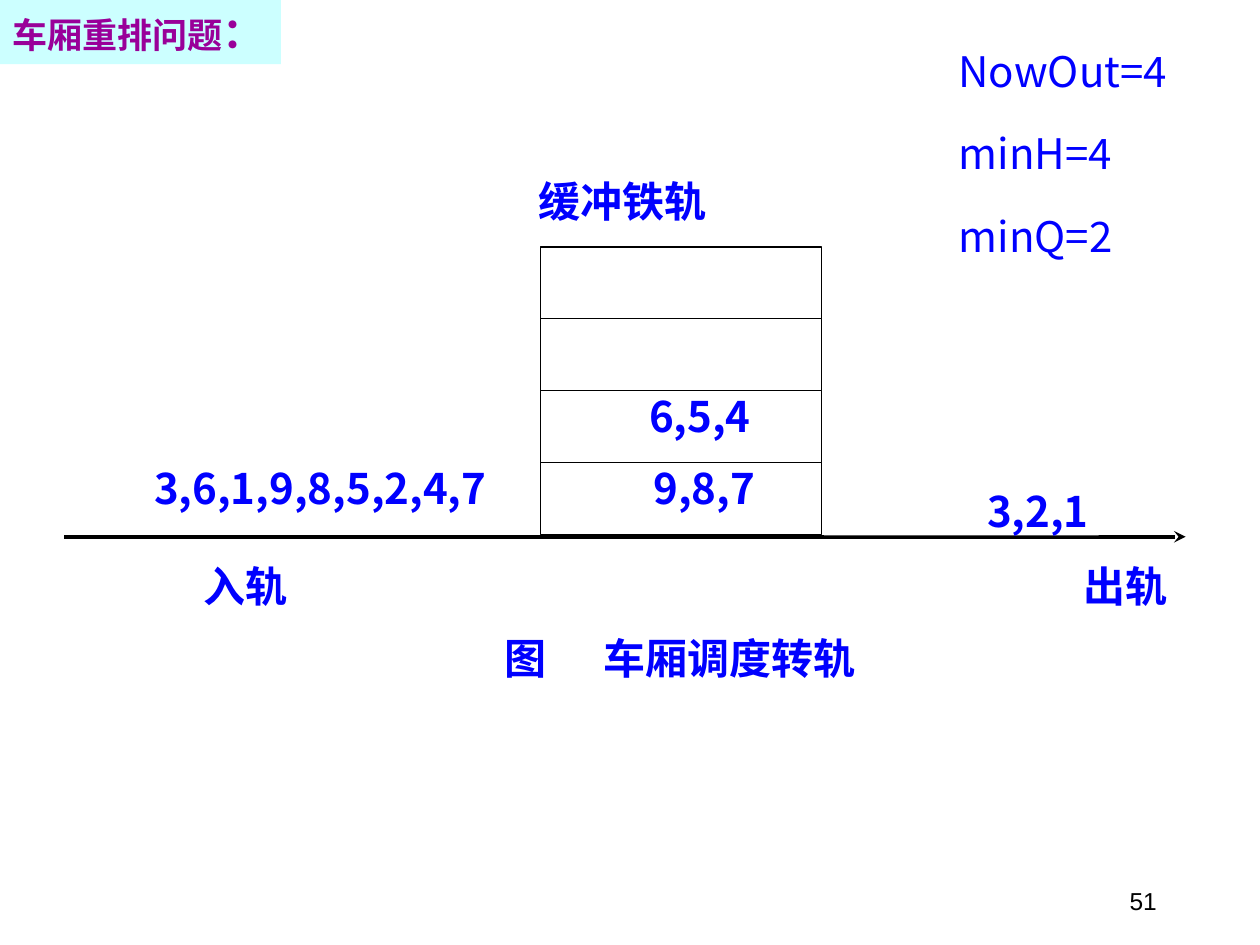
from lxml.etree import SubElement
from pptx import Presentation
from pptx.dml.color import RGBColor
from pptx.enum.shapes import MSO_CONNECTOR as CONNECTOR, MSO_SHAPE as SHAPE
from pptx.enum.text import MSO_ANCHOR as ANCHOR, MSO_AUTO_SIZE as AUTO_SIZE, PP_ALIGN as ALIGN
from pptx.oxml.ns import qn
from pptx.util import Inches, Pt

BLACK = RGBColor(0x00, 0x00, 0x00)
WHITE = RGBColor(0xFF, 0xFF, 0xFF)
BLUE = RGBColor(0x00, 0x00, 0xFF)
PURPLE = RGBColor(0x99, 0x00, 0x99)
PALE_CYAN = RGBColor(0xCC, 0xFF, 0xFF)
SANS = "Noto Sans CJK SC"
SERIF = "Times New Roman"

presentation = Presentation()
presentation.slide_width = Inches(10)
presentation.slide_height = Inches(7.5)
slide = presentation.slides.add_slide(presentation.slide_layouts[6])

# Grid of 100 columns by 75 rows
COLUMN = presentation.slide_width / 100
ROW = presentation.slide_height / 75


def add_text(text, left, top, width, height, *, fill=None, line=None, font=SANS, size=24,
             color=BLUE, bold=True, align=ALIGN.CENTER, anchor=ANCHOR.TOP,
             insets=(0, 0, 0, 0), wrap=True, tab=None):
    """Place a box on the grid; insets are left, top, right, bottom in columns."""
    place = [round(left * COLUMN), round(top * ROW), round(width * COLUMN), round(height * ROW)]
    if fill is None:
        shape = slide.shapes.add_textbox(*place)
    else:
        shape = slide.shapes.add_shape(SHAPE.RECTANGLE, *place)
        shape.shadow.inherit = False
        shape.fill.solid()
        shape.fill.fore_color.rgb = fill
        if line is None:
            shape.line.fill.background()
        else:
            shape.line.color.rgb = line
            shape.line.width = Pt(0.75)
    frame = shape.text_frame
    frame.word_wrap = wrap
    frame.auto_size = AUTO_SIZE.NONE if wrap else AUTO_SIZE.SHAPE_TO_FIT_TEXT
    frame.vertical_anchor = anchor
    frame.margin_left, frame.margin_top, frame.margin_right, frame.margin_bottom = [
        round(inset * COLUMN) for inset in insets]
    paragraph = frame.paragraphs[0]
    paragraph.alignment = align
    if tab is not None:
        tabs = SubElement(paragraph._p.get_or_add_pPr(), qn("a:tabLst"))
        SubElement(tabs, qn("a:tab"), pos=str(round(tab * COLUMN)), algn="l")
    if text:
        paragraph.text = text
    for run in paragraph.runs:
        run.font.name = font
        run.font.size = Pt(size)
        run.font.bold = bold
        run.font.color.rgb = color
        SubElement(run.font._element, qn("a:ea"), typeface=SANS)
    return paragraph


# Main track
track = slide.shapes.add_connector(
    CONNECTOR.STRAIGHT, round(5.1 * COLUMN), round(42.6 * ROW),
    round(94.1 * COLUMN), round(42.6 * ROW))
track.line.color.rgb = BLACK
track.line.width = Pt(2.25)
SubElement(track.line._ln, qn("a:tailEnd"), type="stealth")
SubElement(track._element.spPr, qn("a:effectLst"))

# Buffer tracks, stacked from the bottom up
BUFFER_HEIGHT = 5.7
for level, (cars, indent) in enumerate([("9,8,7", 3.7), ("6,5,4", 3), ("", 0), ("", 0)]):
    add_text(cars, 42.9, 36.7 - level * BUFFER_HEIGHT, 22.3, BUFFER_HEIGHT,
             fill=WHITE, line=BLACK, insets=(indent, 0, 0, 0))

# Track names
for name, left, top, width in [("入轨", 14.7, 44.5, 9.6), ("出轨", 84.5, 44.5, 9.6),
                               ("缓冲铁轨", 42.2, 13.9, 14.4)]:
    add_text(name, left, top, width, 3.8, fill=WHITE, font=SERIF)

# Cars waiting and cars already out
add_text("3,6,1,9,8,5,2,4,7", 9.8, 36.7, 28.8, 3.8, fill=WHITE, align=ALIGN.RIGHT)
add_text("3,2,1", 65.4, 38.5, 21.8, 4, fill=WHITE, align=ALIGN.RIGHT, insets=(0, 0, 0.8, 0))

# Caption
add_text("图\t车厢调度转轨", 36.4, 50.2, 36.1, 3.8, fill=WHITE, font=SERIF,
         align=ALIGN.LEFT, insets=(3.6, 0, 0, 0), tab=7.9)

# Title, with a larger colon
PADDING = (1, 0.5, 1, 0.5)
title = add_text("车厢重排问题", 0, 0, 22.3, 5.1, fill=PALE_CYAN, font="Montserrat", size=20,
                 color=PURPLE, align=ALIGN.LEFT, insets=PADDING, wrap=False)
colon = title.add_run()
colon.text = "："
colon.font.name = "Montserrat"
colon.font.size = Pt(24)
colon.font.bold = True
colon.font.color.rgb = PURPLE
SubElement(colon.font._element, qn("a:ea"), typeface=SANS)

# Page number
add_text("51", 72, 69, 20.8, 5, font="Arial", size=14, color=BLACK, bold=False,
         align=ALIGN.RIGHT, anchor=ANCHOR.MIDDLE, insets=PADDING)

# State variables
for index, (state, width) in enumerate([("NowOut=4", 20), ("minH=4", 15.3), ("minQ=2", 15.4)]):
    add_text(state, 75.1, 3.1 + index * 6.55, width, 5, font="Noto Sans CJK JP", bold=False,
             align=ALIGN.LEFT, insets=PADDING, wrap=False)

presentation.save("out.pptx")
